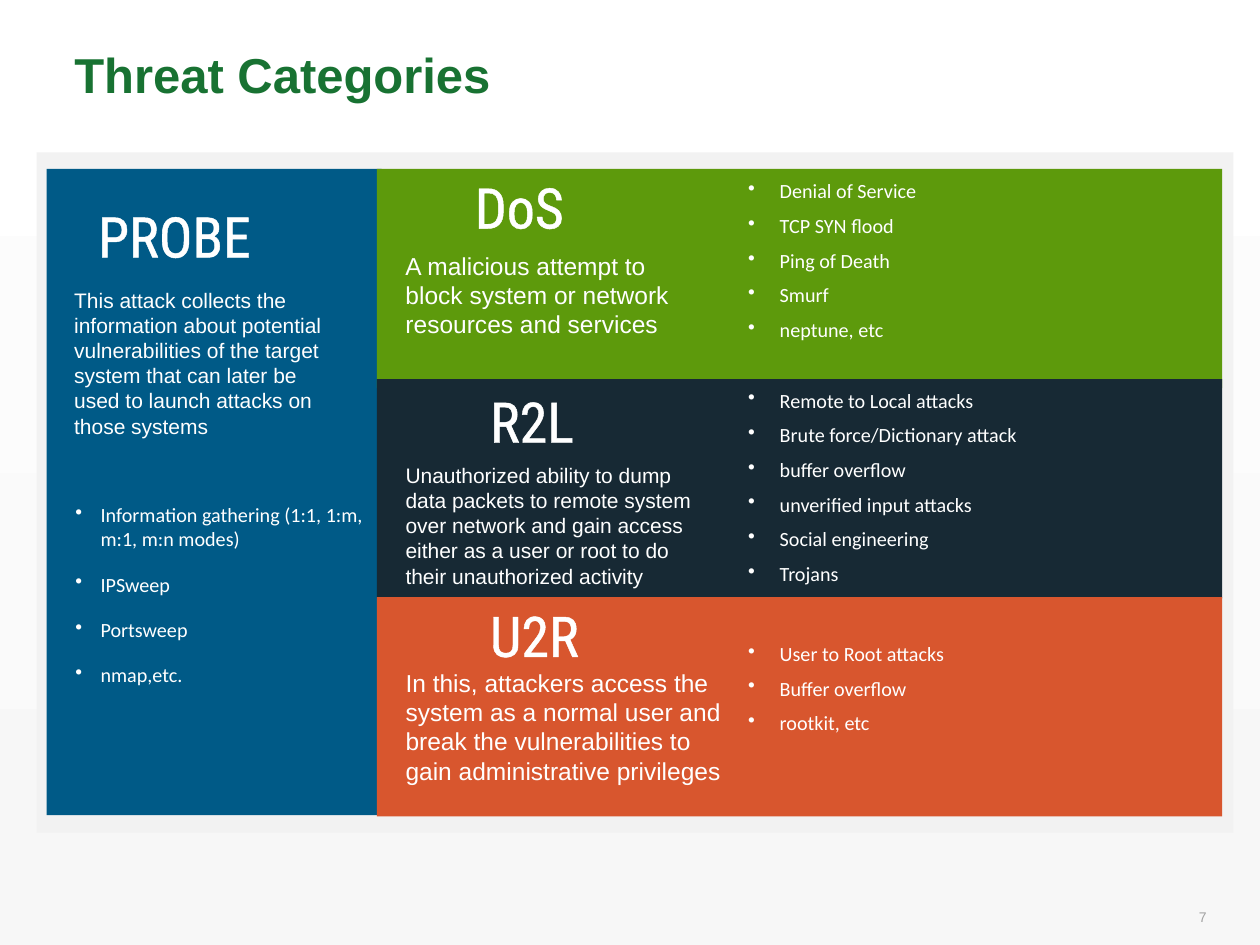
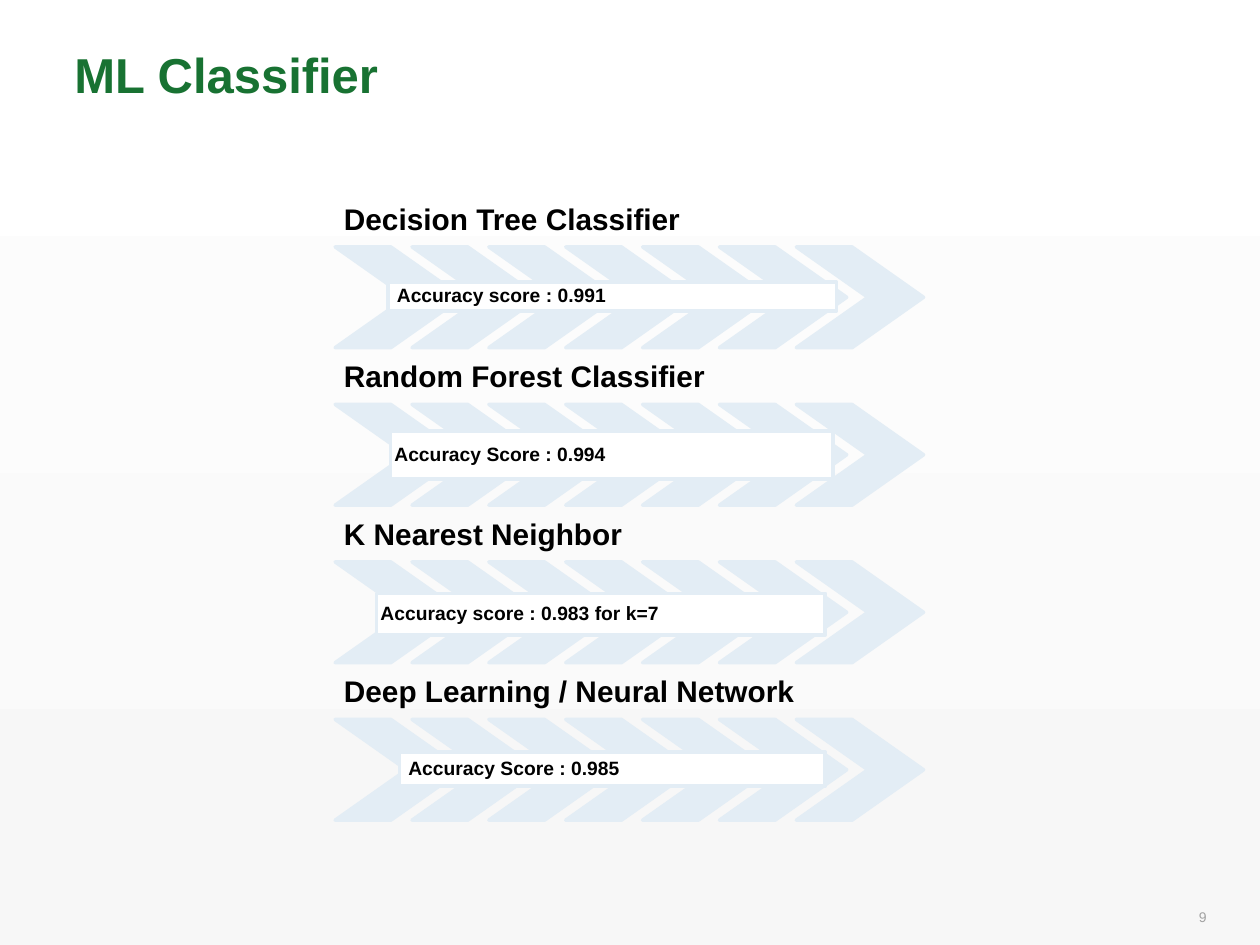
from dataclasses import dataclass

from lxml import etree
from pptx import Presentation
from pptx import util as u
from pptx.dml.color import RGBColor
from pptx.enum import shapes, text
from pptx.oxml import ns

Inches, Pt = u.Inches, u.Pt
RECT = shapes.MSO_SHAPE.RECTANGLE
CHEVRON = shapes.MSO_SHAPE.CHEVRON
TOP, MID, LOW = text.MSO_ANCHOR.TOP, text.MSO_ANCHOR.MIDDLE, text.MSO_ANCHOR.BOTTOM
LEFT, CENTER = text.PP_ALIGN.LEFT, text.PP_ALIGN.CENTER


@dataclass(frozen=True)
class Theme:
    white: str = "FFFFFF"
    fade: str = "F7F7F7"
    black: str = "000000"
    title: str = "187232"
    number: str = "A2A2A2"
    panel: str = "F2F2F2"
    blue: str = "005A87"
    green: str = "5D9A0C"
    navy: str = "172934"
    orange: str = "D8562E"
    pale: str = "E3EDF5"
    body: str = "Arial"
    list: str = "Calibri"
    head: str = "Roboto Condensed"
    title_pt: float = 28
    head_pt: float = 32
    label_pt: float = 17
    large_pt: float = 14
    small_pt: float = 12
    list_pt: float = 11.5
    score_pt: float = 11
    number_pt: float = 8
    edge_pt: float = 2


class Deck:
    def __init__(self, theme):
        self.theme = theme
        self.prs = Presentation()
        self.prs.slide_width, self.prs.slide_height = Inches(10), Inches(7.5)
        self.layout = self.prs.slide_layouts.get_by_name("Title Only")
        self.slide = None
        fill = self.prs.slide_master.background.fill
        fill.gradient()
        fill.gradient_angle = 270
        for stop, tone in zip(fill.gradient_stops, (theme.white, theme.fade)):
            stop.color.rgb = RGBColor.from_string(tone)

    def start(self, title, number):
        t = self.theme
        self.slide = self.prs.slides.add_slide(self.layout)
        head = self.slide.shapes.title
        head.left, head.top, head.width, head.height = map(Inches, (0.49, 0.3, 9, 1.25))
        self.put(head, title, t.body, t.title_pt, t.title, bold=True)
        self.label((9.09, 7.04, 0.91, 0.47), str(number), t.body, t.number_pt,
                   t.number, anchor=MID, align=CENTER)

    def put(self, box, line, font, size, color, bold=False, anchor=TOP,
            align=LEFT, inset=(0.1, 0.05, 0.1, 0.05), space=None):
        frame = box.text_frame
        frame.word_wrap = True
        frame.auto_size = text.MSO_AUTO_SIZE.NONE
        frame.vertical_anchor = anchor
        (frame.margin_left, frame.margin_top,
         frame.margin_right, frame.margin_bottom) = map(Inches, inset)
        frame.text = line
        para = frame.paragraphs[0]
        para.alignment = align
        if space:
            para.line_spacing = space
        self.style(para, font, size, color, bold)
        return para

    def style(self, para, font, size, color, bold):
        para.font.name = font
        para.font.size = Pt(size)
        para.font.bold = bold
        para.font.color.rgb = RGBColor.from_string(color)

    def label(self, at, line, font, size, color, **look):
        box = self.slide.shapes.add_textbox(*map(Inches, at))
        return self.put(box, line, font, size, color, **look)

    def heading(self, at, line):
        t = self.theme
        para = self.label(at, line, t.head, t.head_pt, t.white)
        props = para.runs[0]._r.get_or_add_rPr()
        edge = etree.Element(ns.qn("a:ln"), w=str(Pt(1.25)))
        fill = etree.SubElement(edge, ns.qn("a:solidFill"))
        etree.SubElement(fill, ns.qn("a:srgbClr"), val=t.white)
        props.insert(0, edge)

    def bullets(self, at, lines, indent, gap):
        t = self.theme
        box = self.slide.shapes.add_textbox(*map(Inches, at))
        frame = box.text_frame
        frame.word_wrap = True
        frame.margin_right = 0
        frame.text = "\n".join(lines)
        for place, para in enumerate(frame.paragraphs):
            props = para._p.get_or_add_pPr()
            props.set("marL", str(Inches(indent)))
            props.set("indent", str(-Inches(indent)))
            etree.SubElement(props, ns.qn("a:buChar"), char="•")
            para.space_before = Pt(gap if place else 0)
            para.space_after = Pt(gap)
            self.style(para, t.list, t.list_pt, t.white, False)

    def shape(self, kind, at, fill, line=None):
        item = self.slide.shapes.add_shape(kind, *map(Inches, at))
        item.shadow.inherit = False
        item.fill.solid()
        item.fill.fore_color.rgb = RGBColor.from_string(fill)
        if line:
            item.line.color.rgb = RGBColor.from_string(line)
            item.line.width = Pt(self.theme.edge_pt)
        else:
            item.line.fill.background()
        return item

    def arrows(self, left, top, count, step):
        for place in range(count):
            item = self.shape(CHEVRON, (left + place * step, top, 1.01, 0.8),
                              self.theme.pale, self.theme.pale)
            item.adjustments[0] = 0.71


def threats(deck):
    t = deck.theme
    deck.start("Threat Categories", 7)
    deck.shape(RECT, (0.29, 1.21, 9.5, 5.4), t.panel)
    deck.shape(RECT, (0.37, 1.34, 2.66, 5.13), t.blue)
    deck.heading((0.68, 1.55, 1.72, 0.62), "PROBE")
    deck.label((0.49, 2.23, 2.28, 1.12),
               "This attack collects the information about potential vulnerabilities "
               "of the target system that can later be used to launch attacks on "
               "those systems", t.body, t.small_pt, t.white)
    deck.bullets((0.5, 3.94, 2.43, 2.3),
                 ["Information gathering (1:1, 1:m, m:1, m:n modes)", "IPSweep",
                  "Portsweep", "nmap,etc."], 0.2, 6)
    rows = [
        (1.34, t.green, "DoS", (3.67, 1.32), (1.94, 2.53, 0.99), t.large_pt,
         "A malicious attempt to block system or network resources and services",
         (1.37, 1.41),
         ["Denial of Service", "TCP SYN flood", "Ping of Death", "Smurf",
          "neptune, etc"]),
        (3.01, t.navy, "R2L", (3.79, 3.02), (3.62, 2.48, 0.98), t.small_pt,
         "Unauthorized ability to dump data packets to remote system over network "
         "and gain access either as a user or root to do their unauthorized activity",
         (3.03, 1.68),
         ["Remote to Local attacks", "Brute force/Dictionary attack",
          "buffer overflow", "unverified input attacks", "Social engineering",
          "Trojans"]),
        (4.74, t.orange, "U2R", (3.79, 4.72), (5.25, 2.72, 1.06), t.large_pt,
         "In this, attackers access the system as a normal user and break the "
         "vulnerabilities to gain administrative privileges",
         (5.04, 1.13),
         ["User to Root attacks", "Buffer overflow", "rootkit, etc"]),
    ]
    for top, color, name, spot, area, size, about, span, items in rows:
        deck.shape(RECT, (2.99, top, 6.71, 1.74), color)
        deck.heading((*spot, 1.72, 0.62), name)
        deck.label((3.12, *area), about, t.body, size, t.white)
        deck.bullets((5.84, span[0], 3.76, span[1]), items, 0.25, 3)


def models(deck):
    t = deck.theme
    deck.start("ML Classifier", 9)
    rows = [
        ("Decision Tree Classifier", "Accuracy score : 0.991",
         (3.08, 2.24, 3.56, 0.23), 0.07),
        ("Random Forest Classifier", "Accuracy Score : 0.994",
         (3.1, 3.42, 3.51, 0.38), 0.03),
        ("K Nearest Neighbor", "Accuracy score : 0.983 for k=7",
         (2.99, 4.71, 3.56, 0.33), 0.03),
        ("Deep Learning / Neural Network", "Accuracy Score : 0.985",
         (3.17, 5.97, 3.38, 0.27), 0.07),
    ]
    for place, (name, score, at, pad) in enumerate(rows):
        top = 1.56 + place * 1.25
        deck.label((2.66, top, 4.33, 0.39), name, t.body, t.label_pt, t.black,
                   bold=True, anchor=LOW, inset=(0.07,) * 4, space=0.9)
        deck.arrows(2.66, top + 0.4, 7, 0.61)
        bar = deck.shape(RECT, at, t.white, t.pale)
        deck.put(bar, score, t.body, t.score_pt, t.black, bold=True,
                 anchor=MID, inset=(pad, 0.03, 0.03, 0.03), space=0.9)


def main():
    deck = Deck(Theme())
    threats(deck)
    models(deck)
    deck.prs.save("out.pptx")


if __name__ == "__main__":
    main()
